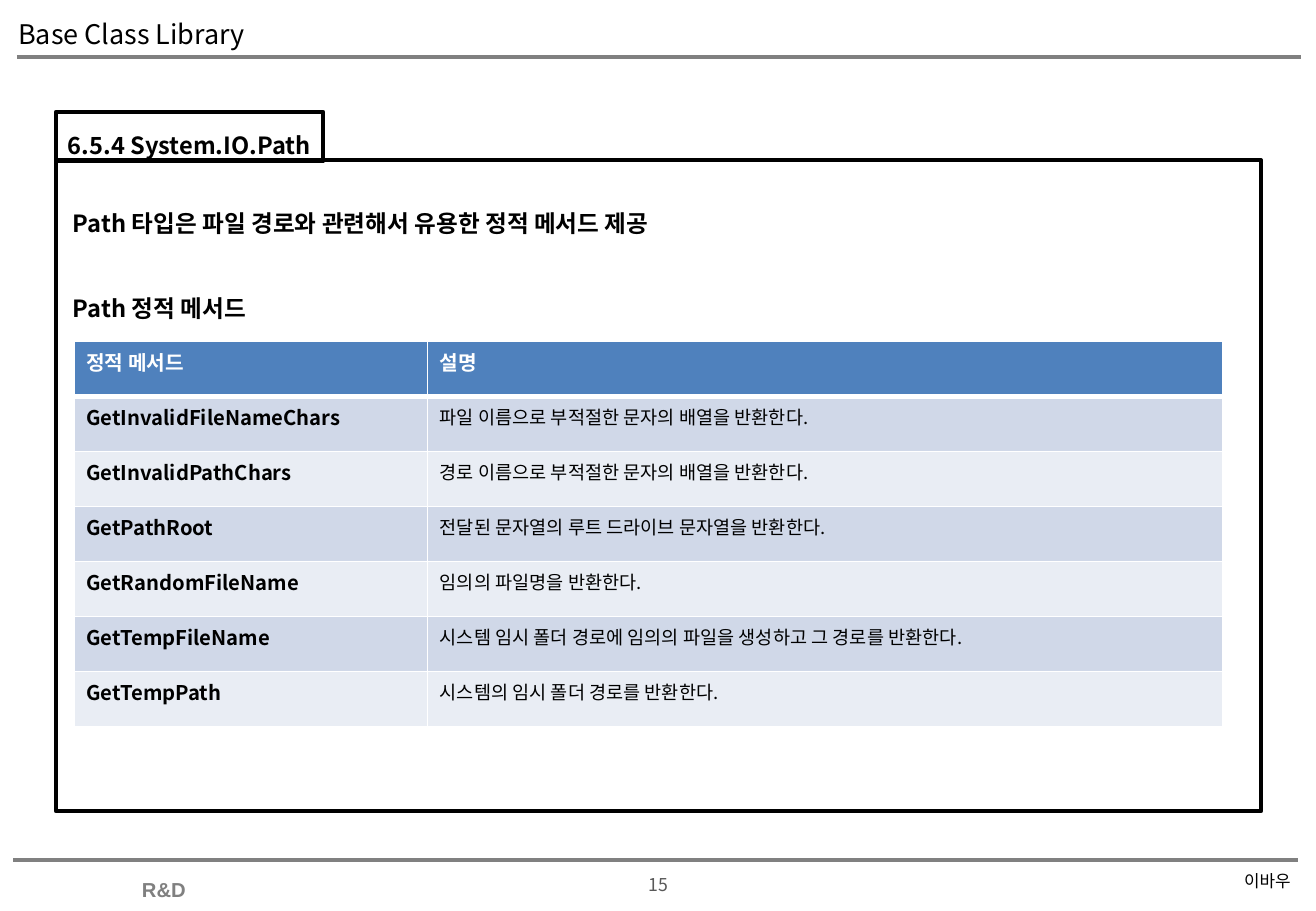
from lxml.etree import SubElement
from pptx import Presentation
from pptx.dml.color import RGBColor
from pptx.enum.shapes import MSO_CONNECTOR, MSO_SHAPE
from pptx.enum.text import MSO_ANCHOR, MSO_AUTO_SIZE, PP_ALIGN
from pptx.oxml import parse_xml
from pptx.oxml.ns import nsdecls, qn
from pptx.util import Inches, Pt

FONT = "Noto Sans CJK KR"
BLACK, WHITE, GRAY = "000000", "FFFFFF", "808080"
HEADER_FILL, BAND_FILLS = "4F81BD", ("D0D8E8", "E9EDF4")
METHODS = [
    ("정적 메서드", "설명"),
    ("GetInvalidFileNameChars", "파일 이름으로 부적절한 문자의 배열을 반환한다."),
    ("GetInvalidPathChars", "경로 이름으로 부적절한 문자의 배열을 반환한다."),
    ("GetPathRoot", "전달된 문자열의 루트 드라이브 문자열을 반환한다."),
    ("GetRandomFileName", "임의의 파일명을 반환한다."),
    ("GetTempFileName", "시스템 임시 폴더 경로에 임의의 파일을 생성하고 그 경로를 반환한다."),
    ("GetTempPath", "시스템의 임시 폴더 경로를 반환한다."),
]


def color(value):
    return RGBColor.from_string(value)


def write(frame, text, size, ink=BLACK, bold=False, align=PP_ALIGN.LEFT,
          font=FONT, insets=None):
    """Fill a text frame; insets are left, top, right and bottom in inches."""
    frame.text = text
    if insets:
        frame.word_wrap = True
        frame.auto_size = MSO_AUTO_SIZE.NONE
        (frame.margin_left, frame.margin_top,
         frame.margin_right, frame.margin_bottom) = map(Inches, insets)
    for paragraph in frame.paragraphs:
        paragraph.alignment = align
        for span in paragraph.runs:
            span.font.size = Pt(size)
            span.font.bold = bold
            span.font.name = font
            span.font.color.rgb = color(ink)
            SubElement(span.font._element, qn("a:ea"), typeface=font)


deck = Presentation()
deck.slide_width, deck.slide_height = Inches(10.83), Inches(7.5)
page = deck.slides.add_slide(deck.slide_layouts[5])

# Title
title = page.shapes.title
title.left, title.top = Inches(0.15), Inches(0.16)
title.width, title.height = Inches(5.51), Inches(0.24)
write(title.text_frame, "Base Class Library", 16, insets=(0, 0.05, 0.1, 0.05))
title.text_frame.vertical_anchor = MSO_ANCHOR.MIDDLE

# Header and footer rules
for left, top in ((0.14, 0.47), (0.11, 7.08)):
    rule = page.shapes.add_connector(
        MSO_CONNECTOR.STRAIGHT, Inches(left), Inches(top), Inches(left + 10.57), Inches(top))
    rule.line.color.rgb = color(GRAY)
    rule.line.width = Pt(2)
    SubElement(rule._element.spPr, qn("a:effectLst"))

# Footer texts
footer = [
    ((4.9, 7.19, 1.04, 0.19), "15", 10.5, "595959", False, PP_ALIGN.CENTER, FONT,
     (0, 0, 0, 0)),
    ((1.07, 7.17, 0.58, 0.3), "R&D", 12, GRAY, True, PP_ALIGN.LEFT, "Arial",
     (0.1, 0.05, 0, 0.05)),
    ((8.27, 7.12, 2.35, 0.24), "이바우", 10, BLACK, False, PP_ALIGN.RIGHT, FONT,
     (0.1, 0.05, 0, 0.05)),
]
for place, *content in footer:
    box = page.shapes.add_textbox(*map(Inches, place))
    write(box.text_frame, *content)

# Content frame and its heading tab
frames = [
    ((0.46, 1.32, 9.92, 5.36),
     "Path 타입은 파일 경로와 관련해서 유용한 정적 메서드 제공\nPath 정적 메서드",
     (0.14, 0.4, 0.1, 0.05)),
    ((0.46, 0.92, 2.2, 0.41), "6.5.4 System.IO.Path", (0.1, 0.16, 0, 0)),
]
for place, text, insets in frames:
    box = page.shapes.add_shape(MSO_SHAPE.RECTANGLE, *map(Inches, place))
    box.shadow.inherit = False
    box.fill.background()
    box.line.color.rgb = color(BLACK)
    box.line.width = Pt(2.25)
    write(box.text_frame, text, 14, bold=True, insets=insets)
    box.text_frame.vertical_anchor = MSO_ANCHOR.TOP
    for paragraph in box.text_frame.paragraphs[1:]:
        paragraph.space_before = Pt(33.5)

# Method table
table = page.shapes.add_table(
    len(METHODS), 2, Inches(0.61), Inches(2.81), Inches(9.45), Inches(3.17)).table
table.columns[0].width, table.columns[1].width = Inches(2.91), Inches(6.54)
for row, texts in enumerate(METHODS):
    is_header = row == 0
    for column, text in enumerate(texts):
        cell = table.cell(row, column)
        is_strong = is_header or column == 0
        write(cell.text_frame, text, 12 if is_strong else 11,
              WHITE if is_header else BLACK, is_strong)
        cell.fill.solid()
        cell.fill.fore_color.rgb = color(HEADER_FILL if is_header else BAND_FILLS[(row - 1) % 2])
        widths = {"L": 1, "R": 1, "T": 3 if row == 1 else 1, "B": 3 if is_header else 1}
        for position, (side, width) in enumerate(widths.items()):
            border = parse_xml(
                f'<a:ln{side} {nsdecls("a")} w="{Pt(width)}"><a:solidFill>'
                f'<a:srgbClr val="{WHITE}"/></a:solidFill></a:ln{side}>')
            cell._tc.get_or_add_tcPr().insert(position, border)

deck.save("out.pptx")
